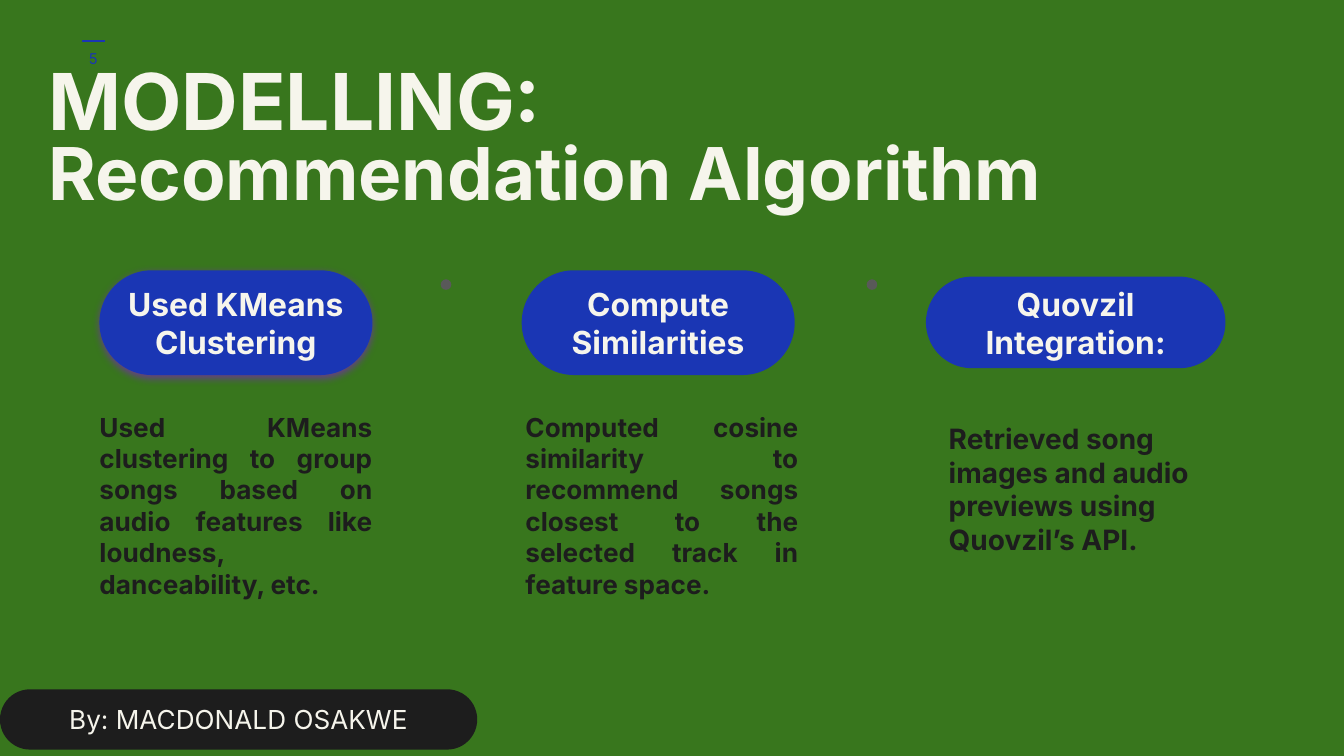
"""Build the modelling slide: title, three pill-headed columns and an author tag."""
from lxml.etree import SubElement
from pptx import Presentation
from pptx.dml.color import RGBColor
from pptx.enum.shapes import MSO_CONNECTOR, MSO_SHAPE
from pptx.enum.text import MSO_ANCHOR, MSO_AUTO_SIZE, PP_ALIGN
from pptx.oxml import parse_xml
from pptx.oxml.ns import nsdecls, qn
from pptx.util import Cm, Pt

TITLE = [("MODELLING:", 42), ("Recommendation Algorithm", 39)]
COLUMNS = [
    {"head": "Used KMeans Clustering", "pill": (1.88, 5.11, 5.16, 1.98),
     "text": "Used KMeans clustering to group songs based on audio features like loudness, danceability, etc.",
     "box": (1.63, 7.52, 5.66, 4.78), "size": 14, "align": PP_ALIGN.JUSTIFY},
    {"head": "Compute Similarities", "pill": (9.86, 5.11, 5.16, 1.98),
     "text": "Computed cosine similarity to recommend songs closest to the selected track in feature space.",
     "box": (9.68, 7.52, 5.66, 4.78), "size": 14, "align": PP_ALIGN.JUSTIFY},
    {"head": "Quovzil Integration:", "pill": (17.5, 5.23, 5.66, 1.73),
     "text": "Retrieved song images and audio previews using Quovzil’s API.",
     "box": (17.68, 7.72, 5.72, 4.78), "size": 15, "align": PP_ALIGN.LEFT},
]
AUTHOR = "By: MACDONALD OSAKWE"
NUMBER = "5"
DOTS = [8.43, 16.48]

THEME = {
    "font": "Inter", "back": "38761D", "blue": "1A36B4", "cream": "F6F5EC",
    "dark": "1D1D1D", "grey": "595959", "glow": "9900FF",
    "head": 17, "tag": 14, "number": 8, "rule": 1, "dot": 0.2,
}
FRAME = {"word_wrap": True, "auto_size": MSO_AUTO_SIZE.NONE,
         "margin_left": Cm(0.25), "margin_right": Cm(0.25),
         "margin_top": Cm(0.25), "margin_bottom": Cm(0.25)}


def color(name):
    return RGBColor.from_string(THEME[name])


def apply(target, values):
    for key, value in values.items():
        setattr(target, key, value)


def place(shape, box):
    apply(shape, dict(zip(("left", "top", "width", "height"), map(Cm, box))))


def write(shape, lines, tint, bold=True, align=PP_ALIGN.CENTER,
          anchor=MSO_ANCHOR.MIDDLE, gap=1.0):
    frame = shape.text_frame
    apply(frame, {**FRAME, "vertical_anchor": anchor})
    for i, (text, size) in enumerate(lines):
        para = frame.add_paragraph() if i else frame.paragraphs[0]
        para.text = text
        if shape.is_placeholder:
            props = para._p.get_or_add_pPr()
            props.set("marL", "0")
            props.set("indent", "0")
            SubElement(props, qn("a:buNone"))
        apply(para, {"alignment": align, "line_spacing": gap,
                     "space_before": Pt(0), "space_after": Pt(0)})
        font = para.runs[0].font
        apply(font, {"name": THEME["font"], "size": Pt(size), "bold": bold})
        font.color.rgb = color(tint)


def add_solid(slide, kind, box, fill):
    shape = slide.shapes.add_shape(kind, *map(Cm, box))
    shape.shadow.inherit = False
    shape.fill.solid()
    shape.fill.fore_color.rgb = color(fill)
    shape.line.fill.background()
    return shape


def add_pill(slide, box, text, size, fill, bold=True):
    pill = add_solid(slide, MSO_SHAPE.ROUNDED_RECTANGLE, box, fill)
    pill.adjustments[0] = 0.5
    write(pill, [(text, size)], "cream", bold)
    return pill


def add_glow(shape):
    effects = shape._element.spPr.find(qn("a:effectLst"))
    effects.append(parse_xml(
        f'<a:outerShdw {nsdecls("a")} blurRad="{Pt(4.5)}" dist="{Pt(1.5)}" '
        f'dir="5400000" algn="bl" rotWithShape="0"><a:srgbClr val="{THEME["glow"]}">'
        '<a:alpha val="50000"/></a:srgbClr></a:outerShdw>'))


def add_rule(slide, ends, tint):
    rule = slide.shapes.add_connector(MSO_CONNECTOR.STRAIGHT, *map(Cm, ends))
    rule.line.color.rgb = color(tint)
    rule.line.width = Pt(THEME["rule"])
    SubElement(rule._element.spPr, qn("a:effectLst"))


def main():
    deck = Presentation()
    apply(deck, {"slide_width": Cm(25.4), "slide_height": Cm(14.29)})
    slide = deck.slides.add_slide(deck.slide_layouts[4])
    slide.background.fill.solid()
    slide.background.fill.fore_color.rgb = color("back")

    add_rule(slide, (1.98, 0.77, 1.55, 0.77), "blue")
    title, *bodies = slide.placeholders
    place(title, (0.66, 1.07, 24.1, 3.48))
    write(title, TITLE, "cream", align=PP_ALIGN.LEFT, anchor=MSO_ANCHOR.TOP, gap=0.8)

    for body, col in zip(bodies, COLUMNS):
        place(body, col["box"])
        write(body, [(col["text"], col["size"])], "dark",
              align=col["align"], anchor=MSO_ANCHOR.TOP)
    for spare in bodies[len(COLUMNS):]:
        spare._element.getparent().remove(spare._element)

    pills = [add_pill(slide, col["pill"], col["head"], THEME["head"], "blue")
             for col in COLUMNS]
    add_glow(pills[0])

    number = slide.shapes.add_textbox(*map(Cm, (1.17, 0.56, 1.19, 1.09)))
    write(number, [(NUMBER, THEME["number"])], "blue", bold=False)
    size = THEME["dot"]
    for x in DOTS:
        add_solid(slide, MSO_SHAPE.OVAL, (x - size / 2, 5.38 - size / 2, size, size), "grey")
    add_pill(slide, (0, 13.03, 9.02, 1.14), AUTHOR, THEME["tag"], "dark", bold=False)
    deck.save("out.pptx")


if __name__ == "__main__":
    main()
